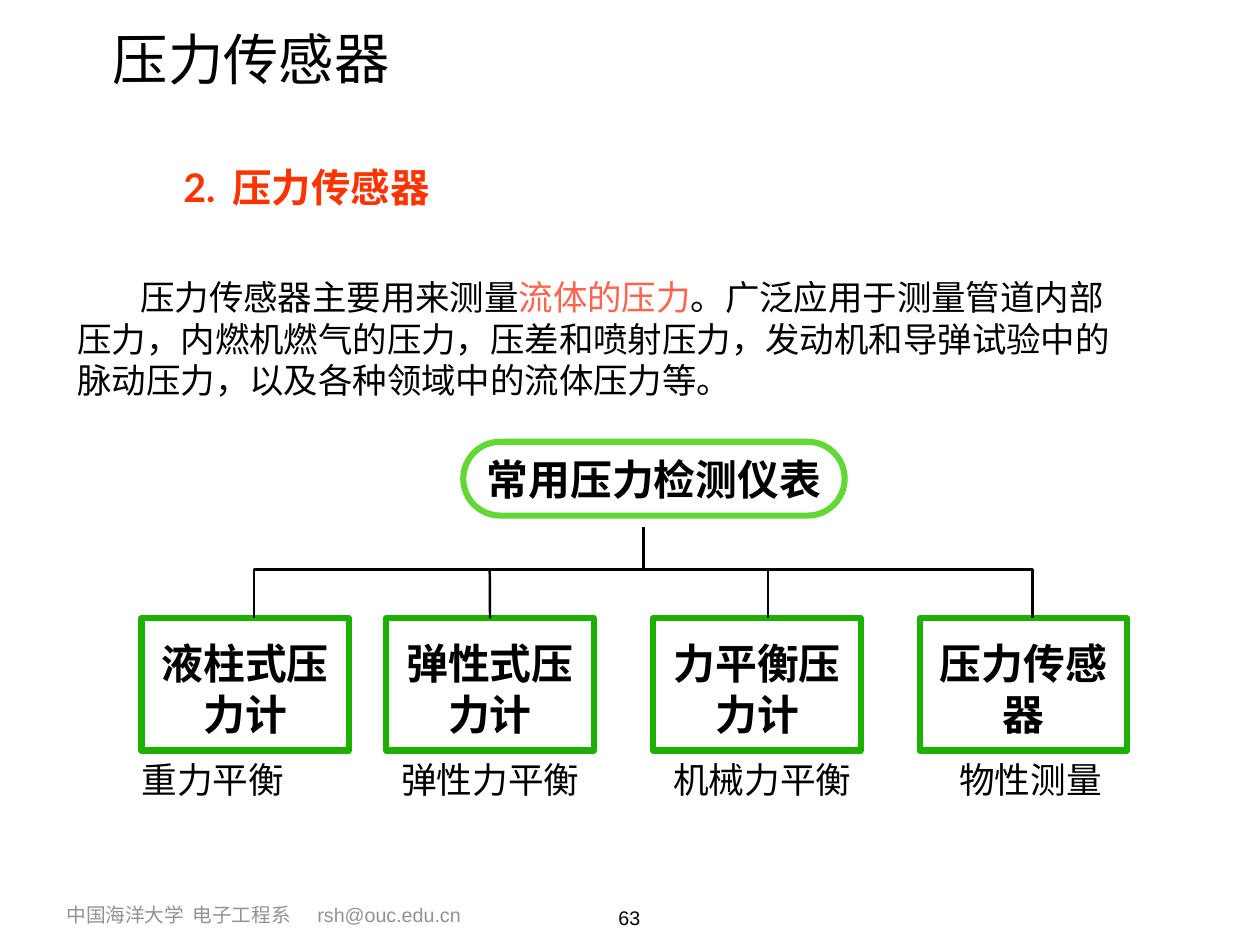
from pptx import Presentation
from pptx.dml.color import RGBColor
from pptx.enum.shapes import MSO_CONNECTOR, MSO_SHAPE
from pptx.enum.text import MSO_ANCHOR, PP_ALIGN
from pptx.oxml.ns import qn
from pptx.util import Pt
from lxml import etree

LINE = MSO_CONNECTOR.STRAIGHT
RECT, ROUND = MSO_SHAPE.RECTANGLE, MSO_SHAPE.ROUNDED_RECTANGLE
MID, TOP = MSO_ANCHOR.MIDDLE, MSO_ANCHOR.TOP
LEFT, MIDST = PP_ALIGN.LEFT, PP_ALIGN.CENTER
NOTO = "Noto Sans CJK SC"
BLACK = "000000"

deck = Presentation()
deck.slide_width, deck.slide_height = Pt(1024), Pt(768)
slide = deck.slides.add_slide(deck.slide_layouts[6])
shapes = slide.shapes


def color(code):
    return RGBColor.from_string(code)


def write(shape, runs, size, face=NOTO, bold=False, align=LEFT, wrap=True):
    """Fill a shape with one paragraph of (text, colour) runs."""
    frame = shape.text_frame
    frame.word_wrap = wrap
    frame.vertical_anchor = MID
    frame.margin_left = frame.margin_right = Pt(4)
    frame.margin_top = frame.margin_bottom = Pt(4)
    para = frame.paragraphs[0]
    para.alignment = align
    for text, code in runs:
        run = para.add_run()
        run.text = text
        font = run.font
        font.size, font.bold, font.name = Pt(size), bold, face
        font.color.rgb = color(code)
        east = etree.SubElement(run._r.get_or_add_rPr(), qn("a:ea"))
        east.set("typeface", NOTO)
    return para


# Title
title = shapes.add_textbox(Pt(29), Pt(4), Pt(350), Pt(86))
title.rotation = 359.6
write(title, [("压力传感器", BLACK)], 45, align=MIDST)

# Heading with a hanging number, and footer, both set on tab stops
head = shapes.add_textbox(Pt(145), Pt(125), Pt(232), Pt(53))
foot = shapes.add_textbox(Pt(50), Pt(730), Pt(356), Pt(27))
for box, text, size, face, code, bold, stops in (
    (head, "2.\t压力传感器", 32, "Lato", "FF3300", True, [40]),
    (foot, "中国海洋大学\t电子工程系\trsh@ouc.edu.cn", 16, "Arial",
     "929292", False, [102.5, 204]),
):
    para = write(box, [(text, code)], size, face, bold)
    tabs = etree.SubElement(para._p.get_or_add_pPr(), qn("a:tabLst"))
    for stop in stops:
        etree.SubElement(tabs, qn("a:tab"), pos=str(Pt(stop)), algn="l")

# Body text
body = shapes.add_textbox(Pt(59), Pt(211), Pt(855), Pt(128))
para = write(body, [
    ("压力传感器主要用来测量", BLACK),
    ("流体的压力", "FF644E"),
    ("。广泛应用于测量管道内部压力，内燃机燃气的压力，压差和喷射压力，"
     "发动机和导弹试验中的脉动压力，以及各种领域中的流体压力等。", BLACK),
], 28)
para.line_spacing = Pt(33.7)
para._p.get_or_add_pPr().set("indent", str(Pt(51)))

# Root of the tree
root = shapes.add_shape(ROUND, Pt(376.5), Pt(359), Pt(310), Pt(60))
root.adjustments[0] = 0.5
root.shadow.inherit = False
root.fill.solid()
root.fill.fore_color.rgb = color("FFFFFF")
root.line.color.rgb = color("61D836")
root.line.width = Pt(5)
write(root, [("常用压力检测仪表", BLACK)], 34, bold=True, align=MIDST,
      wrap=False)

# Four kinds of gauge, each with its principle below
kinds = [
    (115, "液柱式压力计", 111, "重力平衡"),
    (314, "弹性式压力计", 322, "弹性力平衡"),
    (531, "力平衡压力计", 543, "机械力平衡"),
    (747.5, "压力传感器", 775.5, "物性测量"),
]
boxes = []
for left, name, start, note in kinds:
    box = shapes.add_shape(RECT, Pt(left), Pt(502.5), Pt(168.5), Pt(107.5))
    box.shadow.inherit = False
    box.fill.background()
    box.line.color.rgb = color("1EB001")
    box.line.width = Pt(5)
    para = write(box, [(name, BLACK)], 34, bold=True, align=MIDST)
    para.line_spacing = Pt(41.4)
    box.text_frame.margin_top = Pt(10)
    boxes.append(box)
    label = shapes.add_textbox(Pt(start), Pt(608.5), Pt(217), Pt(49))
    write(label, [(note, BLACK)], 29, "Arial")

# Outer branches run from the trunk to the first and last box
bus, trunk = 463, 523
for end in (206.5, 839):
    path = shapes.build_freeform(Pt(trunk), Pt(bus))
    path.add_line_segments([(Pt(end), Pt(bus)), (Pt(end), Pt(502.5))],
                           close=False)
    bend = path.convert_to_shape()
    bend.shadow.inherit = False
    bend.fill.background()
    bend.line.color.rgb = color(BLACK)
    bend.line.width = Pt(2)

# Trunk and inner branches
for x, top, base, goal in (
    (trunk, 428.5, bus, None),
    (398, bus, 502.5, boxes[1]),
    (624, bus, 502.5, None),
):
    wire = shapes.add_connector(LINE, Pt(x), Pt(top), Pt(x), Pt(base))
    if goal is not None:
        wire.end_connect(goal, 0)
    wire.line.color.rgb = color(BLACK)
    wire.line.width = Pt(2)
    etree.SubElement(wire._element.spPr, qn("a:effectLst"))

# Page number
page = shapes.add_textbox(Pt(498), Pt(732), Pt(27), Pt(25))
write(page, [("63", BLACK)], 16, "Arial", align=MIDST, wrap=False)
page.text_frame.vertical_anchor = TOP

deck.save("out.pptx")
